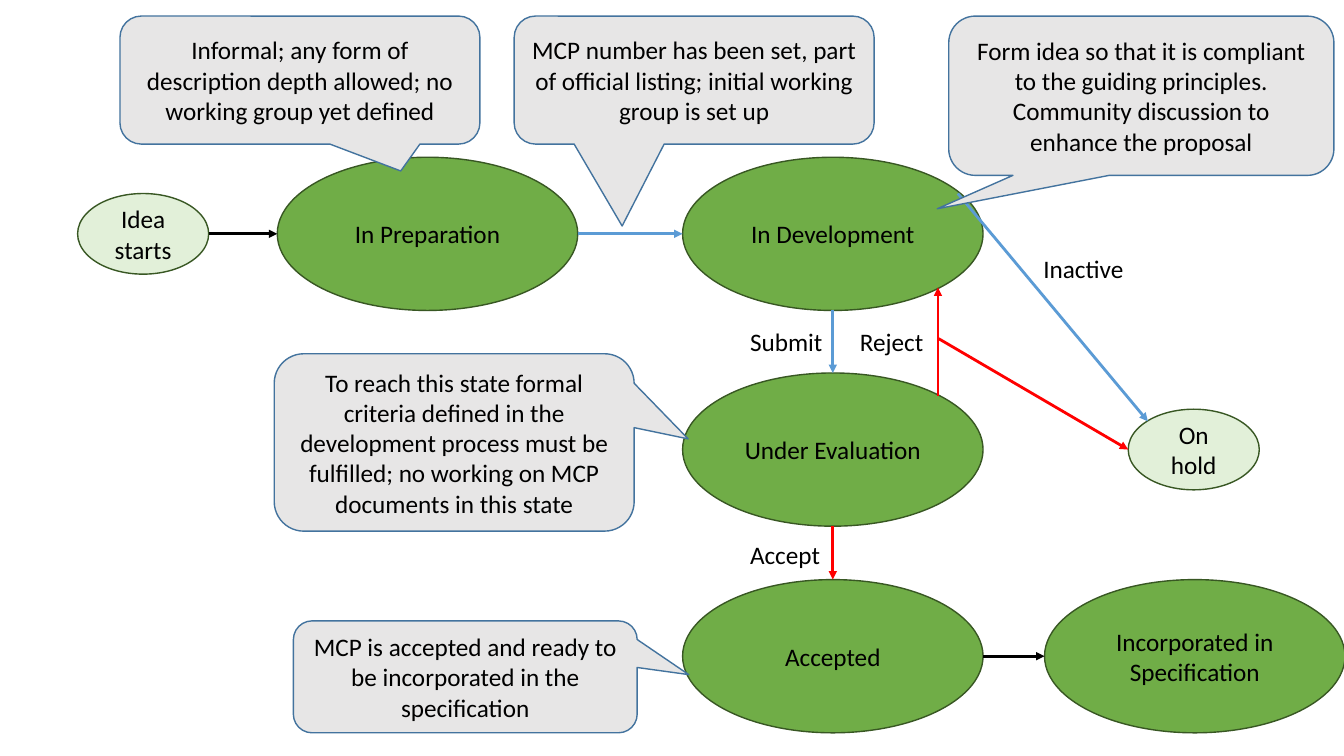
"""Build a one-slide state diagram of the MCP proposal process."""
from lxml import etree
from pptx import Presentation
from pptx.dml.color import RGBColor
from pptx.enum.shapes import MSO_CONNECTOR, MSO_SHAPE
from pptx.enum.text import MSO_ANCHOR, MSO_AUTO_SIZE, PP_ALIGN
from pptx.oxml.ns import qn
from pptx.util import Inches, Pt

OVAL = MSO_SHAPE.OVAL
CALLOUT = MSO_SHAPE.ROUNDED_RECTANGULAR_CALLOUT
STRAIGHT = MSO_CONNECTOR.STRAIGHT
MIDDLE, TOP = MSO_ANCHOR.MIDDLE, MSO_ANCHOR.TOP
CENTER, LEFT = PP_ALIGN.CENTER, PP_ALIGN.LEFT
FIT_TEXT = MSO_AUTO_SIZE.SHAPE_TO_FIT_TEXT

BLACK = RGBColor(0x00, 0x00, 0x00)
RED = RGBColor(0xFF, 0x00, 0x00)
BLUE = RGBColor(0x5B, 0x9B, 0xD5)
GREEN = RGBColor(0x70, 0xAD, 0x47)
PALE_GREEN = RGBColor(0xE2, 0xF0, 0xD9)
DARK_GREEN = RGBColor(0x38, 0x57, 0x23)
GRAY = RGBColor(0xE7, 0xE6, 0xE6)
CALLOUT_BLUE = RGBColor(0x43, 0x73, 0x9E)

STATE_SIZE = (2.98, 1.52)
ENDPOINT_SIZE = (1.3, 0.8)
LABEL_SIZE = (1.32, 0.4)

STATES = {
    "Under Evaluation": (6.77, 3.7),
    "In Development": (6.77, 1.56),
    "In Preparation": (2.75, 1.56),
    "Accepted": (6.77, 5.75),
    "Incorporated in Specification": (10.36, 5.75),
}
ENDPOINTS = {"Idea starts": (0.77, 1.92), "On hold": (11.19, 4.06)}

SITES = {
    "top": (0.5, 0), "bottom": (0.5, 1), "left": (0, 0.5), "right": (1, 0.5),
    "top left": (0.15, 0.15), "top right": (0.85, 0.15), "bottom right": (0.85, 0.85),
}
INACTIVE_START = (9.5, 1.92)
REJECT_FORK = (9.31, 3.36)
ARROWS = [
    (("Idea starts", "right"), ("In Preparation", "left"), BLACK),
    (("In Preparation", "right"), ("In Development", "left"), BLUE),
    (("In Development", "bottom"), ("Under Evaluation", "top"), BLUE),
    (("Under Evaluation", "bottom"), ("Accepted", "top"), RED),
    (("Under Evaluation", "top right"), ("In Development", "bottom right"), RED),
    (("Accepted", "right"), ("Incorporated in Specification", "left"), BLACK),
    (INACTIVE_START, ("On hold", "top left"), BLUE),
    (REJECT_FORK, ("On hold", "left"), RED),
]
LABELS = {
    "Inactive": (10.25, 2.46),
    "Accept": (7.34, 5.3),
    "Reject": (8.43, 3.19),
    "Submit": (7.34, 3.19),
}
CALLOUTS = [
    ("Informal; any form of description depth allowed; no working group yet defined",
     (1.19, 0.16, 3.57, 1.27), (0.28, 0.71)),
    ("MCP number has been set, part of official listing; initial working group is set up",
     (5.1, 0.16, 3.57, 1.27), (-0.2, 1.14)),
    ("Form idea so that it is compliant to the guiding principles. "
     "Community discussion to enhance the proposal",
     (9.41, 0.16, 3.82, 1.58), (-0.53, 0.71)),
    ("To reach this state formal criteria defined in the development process "
     "must be fulfilled; no working on MCP documents in this state",
     (2.72, 3.51, 3.57, 1.76), (0.65, -0.02)),
    ("MCP is accepted and ready to be incorporated in the specification",
     (2.91, 6.16, 3.41, 1.11), (0.65, -0.02)),
]


def write_text(shape, text, align=CENTER, anchor=MIDDLE, size=18, color=BLACK):
    frame = shape.text_frame
    frame.word_wrap = True
    frame.vertical_anchor = anchor
    paragraph = frame.paragraphs[0]
    paragraph.alignment = align
    run = paragraph.add_run()
    run.text = text
    run.font.name = "Calibri"
    run.font.size = Pt(size)
    run.font.color.rgb = color


def add_box(slide, kind, text, box, fill, outline):
    shape = slide.shapes.add_shape(kind, *map(Inches, box))
    shape.shadow.inherit = False
    shape.fill.solid()
    shape.fill.fore_color.rgb = fill
    shape.line.color.rgb = outline
    shape.line.width = Pt(1)
    write_text(shape, text)
    return shape


def locate(end, boxes):
    if end[0] not in boxes:
        return end
    left, top, width, height = boxes[end[0]]
    across, down = SITES[end[1]]
    return left + across * width, top + down * height


def add_arrow(slide, start, end, color):
    points = map(Inches, (*start, *end))
    connector = slide.shapes.add_connector(STRAIGHT, *points)
    connector.line.color.rgb = color
    connector.line.width = Pt(2)
    line = connector.line._get_or_add_ln()
    etree.SubElement(line, qn("a:tailEnd"), type="triangle")
    etree.SubElement(connector._element.spPr, qn("a:effectLst"))


def add_label(slide, text, position):
    label = slide.shapes.add_textbox(*map(Inches, position + LABEL_SIZE))
    write_text(label, text, align=LEFT, anchor=TOP)
    label.text_frame.auto_size = FIT_TEXT


presentation = Presentation()
presentation.slide_width = Inches(13.33)
presentation.slide_height = Inches(7.5)
slide = presentation.slides.add_slide(presentation.slide_layouts[6])

boxes = {}
for group, size, fill in ((STATES, STATE_SIZE, GREEN), (ENDPOINTS, ENDPOINT_SIZE, PALE_GREEN)):
    for name, position in group.items():
        boxes[name] = position + size
        add_box(slide, OVAL, name, boxes[name], fill, DARK_GREEN)

for start, end, color in ARROWS:
    add_arrow(slide, locate(start, boxes), locate(end, boxes), color)

for text, position in LABELS.items():
    add_label(slide, text, position)

for text, box, tip in CALLOUTS:
    callout = add_box(slide, CALLOUT, text, box, GRAY, CALLOUT_BLUE)
    callout.adjustments[0], callout.adjustments[1] = tip

presentation.save("out.pptx")
